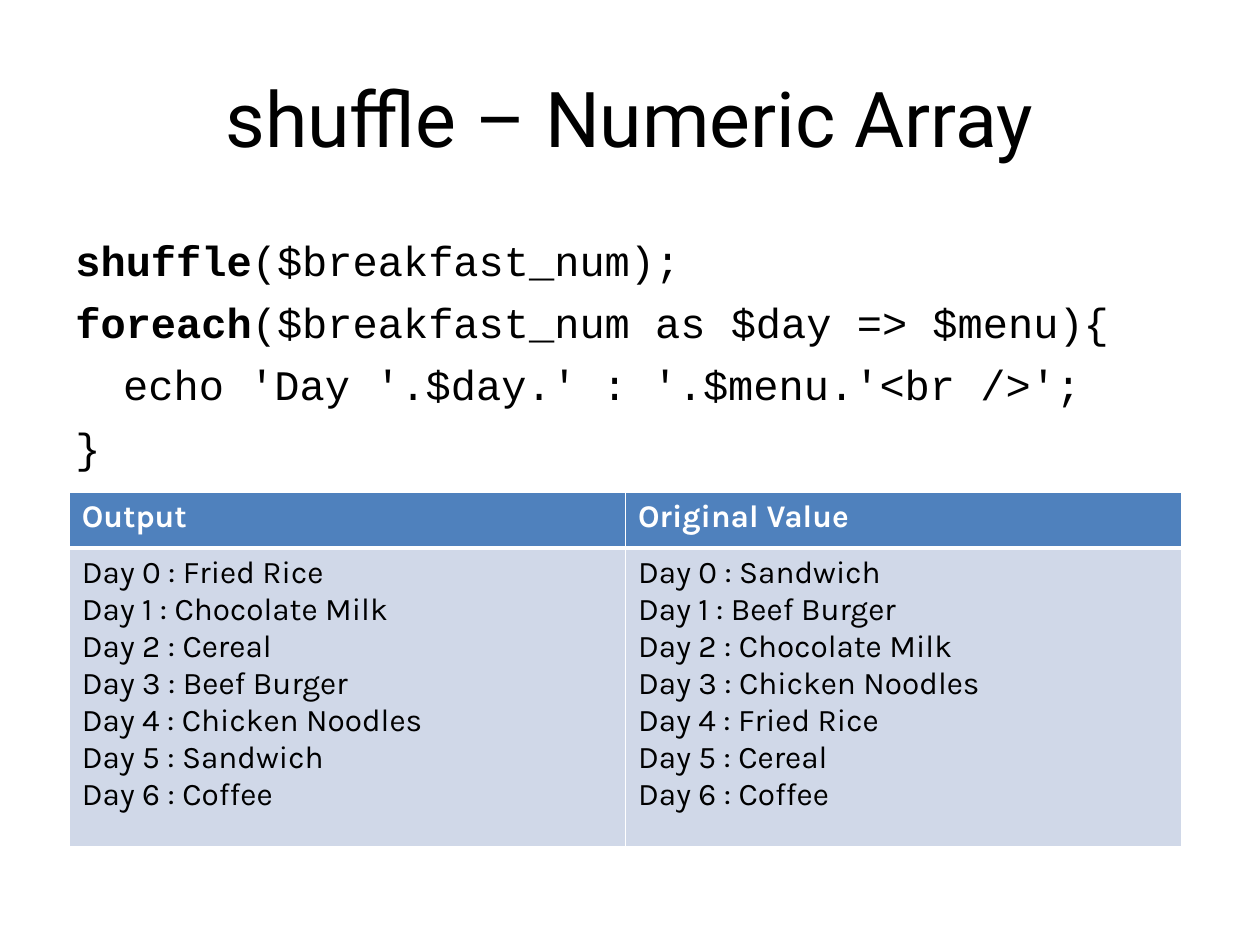
from typing import NamedTuple

import lxml.etree
import pptx
import pptx.dml.color
import pptx.enum.text
import pptx.oxml.ns
import pptx.util

Inches = pptx.util.Inches
Pt = pptx.util.Pt

COLORS = {
    "text": "000000",
    "light": "FFFFFF",
    "header": "4F81BD",
    "body": "D0D8E8",
}
TITLE_FONT, CODE_FONT, TABLE_FONT = "Roboto", "Courier New", "Karla"
CODE_INDENT = 0.38
RULE, HEADER_RULE = 1, 3


class CodeLine(NamedTuple):
    keyword: str
    rest: str


class MenuColumn(NamedTuple):
    heading: str
    dishes: list[str]


CODE = [
    CodeLine("shuffle", "($breakfast_num);"),
    CodeLine("foreach", "($breakfast_num as $day => $menu){"),
    CodeLine("", "\techo 'Day '.$day.' : '.$menu.'<br />';"),
    CodeLine("", "}"),
]
MENUS = [
    MenuColumn("Output", ["Fried Rice", "Chocolate Milk", "Cereal", "Beef Burger",
                          "Chicken Noodles", "Sandwich", "Coffee"]),
    MenuColumn("Original Value", ["Sandwich", "Beef Burger", "Chocolate Milk",
                                  "Chicken Noodles", "Fried Rice", "Cereal", "Coffee"]),
]


def rgb(name: str) -> pptx.dml.color.RGBColor:
    return pptx.dml.color.RGBColor.from_string(COLORS[name])


def add_run(paragraph, text: str, font: str, size: float,
            color: str = "text", bold: bool = False) -> None:
    run = paragraph.add_run()
    run.text = text
    run.font.name = font
    run.font.size = Pt(size)
    run.font.bold = bold
    run.font.color.rgb = rgb(color)


def add_title(slide, text: str) -> None:
    frame = slide.shapes.add_textbox(
        Inches(0.5), Inches(0.3), Inches(9), Inches(1.25)).text_frame
    frame.word_wrap = True
    frame.vertical_anchor = pptx.enum.text.MSO_ANCHOR.MIDDLE
    heading = frame.paragraphs[0]
    heading.alignment = pptx.enum.text.PP_ALIGN.CENTER
    add_run(heading, text, TITLE_FONT, 44)


def add_code(slide, lines: list[CodeLine]) -> None:
    frame = slide.shapes.add_textbox(
        Inches(0.5), Inches(1.75), Inches(9), Inches(4.95)).text_frame
    frame.word_wrap = True
    frame.margin_top = Inches(0.11)
    for number, line in enumerate(lines):
        paragraph = frame.add_paragraph() if number else frame.paragraphs[0]
        if number:
            paragraph.space_before = Pt(6.8)
        properties = paragraph._p.get_or_add_pPr()
        properties.set("marL", str(Inches(CODE_INDENT)))
        properties.set("indent", str(-Inches(CODE_INDENT)))
        if line.keyword:
            add_run(paragraph, line.keyword, CODE_FONT, 24, bold=True)
        add_run(paragraph, line.rest, CODE_FONT, 24)


def style_cell(cell, fill: str, top: float, bottom: float) -> None:
    """Fill the cell and rule its four sides in white; widths are in points."""
    cell.fill.solid()
    cell.fill.fore_color.rgb = rgb(fill)
    properties = cell._tc.get_or_add_tcPr()
    qn = pptx.oxml.ns.qn
    sides = {"lnL": RULE, "lnR": RULE, "lnT": top, "lnB": bottom}
    for position, (side, width) in enumerate(sides.items()):
        border = lxml.etree.Element(qn(f"a:{side}"), w=str(Pt(width)))
        solid = lxml.etree.SubElement(border, qn("a:solidFill"))
        lxml.etree.SubElement(solid, qn("a:srgbClr"), val=COLORS["light"])
        properties.insert(position, border)


def add_menu_table(slide, menus: list[MenuColumn]) -> None:
    table = slide.shapes.add_table(
        2, len(menus), Inches(0.55), Inches(3.91), Inches(8.83), Inches(2.81)).table
    for row, height in zip(table.rows, (0.44, 2.37)):
        row.height = Inches(height)
    for column, menu in enumerate(menus):
        header, body = table.cell(0, column), table.cell(1, column)
        style_cell(header, "header", RULE, HEADER_RULE)
        style_cell(body, "body", HEADER_RULE, RULE)
        add_run(header.text_frame.paragraphs[0], menu.heading,
                TABLE_FONT, 18, "light", bold=True)
        listing = body.text_frame.paragraphs[0]
        for day, dish in enumerate(menu.dishes):
            if day:
                listing.add_line_break()
            add_run(listing, f"Day {day} : {dish}", TABLE_FONT, 18)


def main() -> None:
    presentation = pptx.Presentation()
    presentation.slide_width = Inches(10)
    presentation.slide_height = Inches(7.5)
    slide = presentation.slides.add_slide(presentation.slide_layouts[6])
    add_title(slide, "shuffle – Numeric Array")
    add_code(slide, CODE)
    add_menu_table(slide, MENUS)
    presentation.save("out.pptx")


if __name__ == "__main__":
    main()
